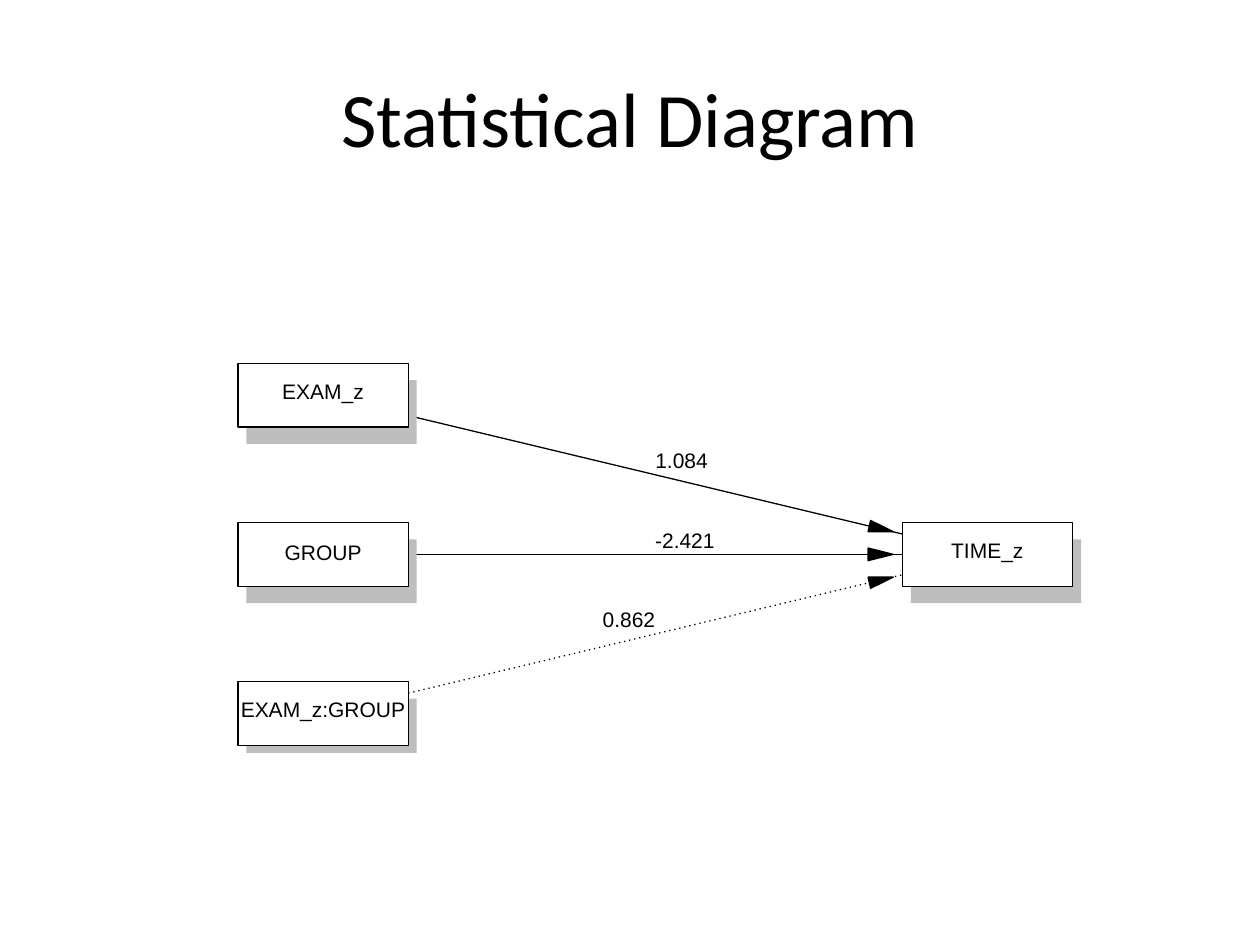
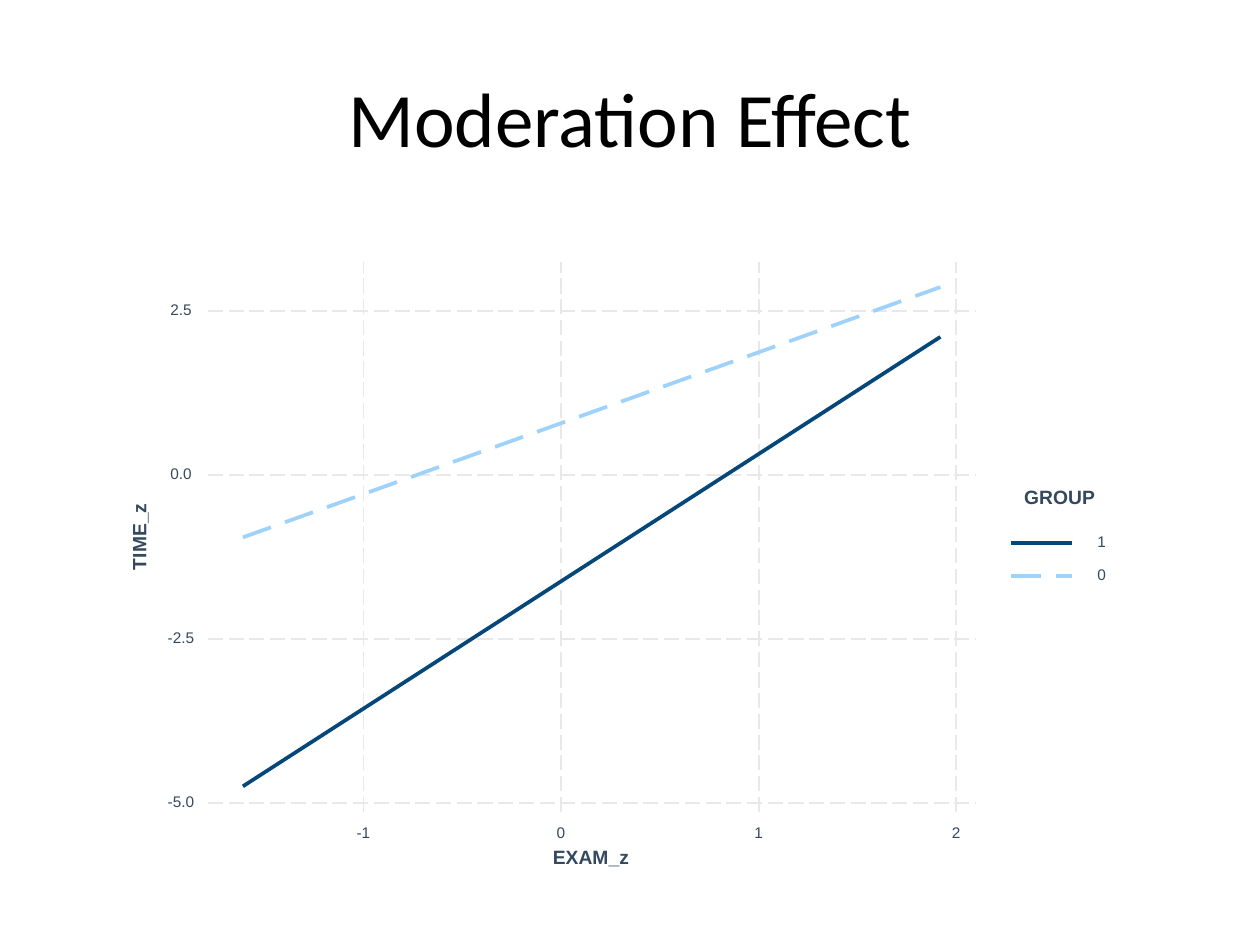
from lxml import etree
from pptx import Presentation
from pptx.dml.color import RGBColor
from pptx.enum.shapes import MSO_CONNECTOR, MSO_SHAPE
from pptx.enum.text import MSO_ANCHOR, PP_ALIGN
from pptx.oxml.ns import qn
from pptx.util import Pt

STRAIGHT = MSO_CONNECTOR.STRAIGHT
RECTANGLE = MSO_SHAPE.RECTANGLE
MIDDLE = MSO_ANCHOR.MIDDLE
CENTER = PP_ALIGN.CENTER

BLACK, WHITE, SHADOW = "000000", "FFFFFF", "BEBEBE"
SLATE, GRID, NAVY, SKY = "34495E", "E8E8E8", "06477A", "9ED2FA"
TITLE_FONT, BODY_FONT = "Calibri", "Arial"

# Dashes: a preset name, or dash and gap in line widths
DOTTED, LONG_DASH, WIDE_DASH = "dot", "lgDash", (8, 4)

PANEL = (72, 144, 576, 360)

# Path diagram: centres of the nodes, on an even vertical step
NODE_WIDTH, NODE_HEIGHT = 97.3, 36.5
CAUSE_X, EFFECT_X = 184.6, 564.2
MIDDLE_Y, ROW_STEP = 316.8, 91
SHADOW_RIGHT, SHADOW_DOWN = 4.9, 9.7

# Cause, shadow height, label, label centre, arrowhead corners, dash
PATHS = [
    ("EXAM_z", 36.5, "1.084", (389.5, 264.2),
     [(496.1, 303.8), (510.5, 303.8), (497.5, 297.4)], None),
    ("GROUP", 36.5, "-2.421", (391.4, 309.6),
     [(496.1, 320.4), (510.5, 316.8), (496.1, 313.2)], None),
    ("EXAM_z:GROUP", 31, "0.862", (359.4, 355.2),
     [(497.5, 336.2), (510.5, 329.8), (496.1, 329.8)], DOTTED),
]

# Line plot: edges, origin and points per unit of each axis
PLOT_LEFT, PLOT_TOP, PLOT_RIGHT, PLOT_BOTTOM = 118.8, 149.8, 557.3, 464
ORIGIN_X, ORIGIN_Y = 320.6, 271.5
UNIT_X, UNIT_Y = 112.9, 37.44
X_TICKS = [-1, 0, 1, 2]
Y_TICKS = [-5.0, -2.5, 0.0, 2.5]
LEGEND_TOP, LEGEND_STEP = 310.2, 18.8

# Group, colour, dash, end points in data units
GROUPS = [
    ("1", NAVY, None, (-1.61, -4.75), (1.92, 2.11)),
    ("0", SKY, WIDE_DASH, (-1.61, -0.95), (1.92, 2.87)),
]


def color(hex_string):
    """Turn a hex string into a colour."""
    return RGBColor.from_string(hex_string)


def plot_x(value):
    """Return the slide position of a value on the horizontal axis."""
    return ORIGIN_X + value * UNIT_X


def plot_y(value):
    """Return the slide position of a value on the vertical axis."""
    return ORIGIN_Y - value * UNIT_Y


def style_font(font, size, hex_string, name=BODY_FONT, bold=False):
    """Set the face, size, colour and weight of a font."""
    font.name, font.size, font.bold = name, Pt(size), bold
    font.color.rgb = color(hex_string)


def style_shape(shape, fill, outline=None, width=0.75):
    """Set the fill and outline of a shape and drop its shadow."""
    shape.shadow.inherit = False
    shape.fill.solid()
    shape.fill.fore_color.rgb = color(fill)
    if outline is None:
        shape.line.fill.background()
    else:
        shape.line.color.rgb = color(outline)
        shape.line.width = Pt(width)


def add_titled_slide(deck, title):
    """Add a title-only slide with the shared title style and panel."""
    page = deck.slides.add_slide(deck.slide_layouts[5])
    box = page.shapes.title
    box.left, box.top, box.width, box.height = Pt(36), Pt(21.6), Pt(648), Pt(90)
    box.text_frame.text = title
    box.text_frame.vertical_anchor = MIDDLE
    para = box.text_frame.paragraphs[0]
    para.alignment = CENTER
    style_font(para.font, 44, BLACK, TITLE_FONT)
    style_shape(add_rectangle(page, *PANEL), WHITE, WHITE)
    return page


def add_rectangle(page, left, top, width, height):
    """Add a rectangle that is still to be styled."""
    return page.shapes.add_shape(RECTANGLE, Pt(left), Pt(top), Pt(width), Pt(height))


def write_line(frame, text, size, hex_string, bold=False):
    """Write one centred line, without insets, into a text frame."""
    frame.margin_left = frame.margin_right = Pt(0)
    frame.margin_top = frame.margin_bottom = Pt(0)
    frame.word_wrap = False
    frame.vertical_anchor = MIDDLE
    para = frame.paragraphs[0]
    para.text = text
    para.alignment = CENTER
    para.line_spacing = Pt(size)
    style_font(para.font, size, hex_string, bold=bold)


def add_label(page, text, center_x, center_y, size, hex_string, bold=False, rotation=0):
    """Add a line of text around a centre."""
    width, height = 0.8 * size * len(text), 0.8 * size
    box = page.shapes.add_textbox(
        Pt(center_x - width / 2), Pt(center_y - height / 2), Pt(width), Pt(height))
    box.rotation = rotation
    write_line(box.text_frame, text, size, hex_string, bold)


def add_line(page, start, end, hex_string, width, dash=None):
    """Add a straight line with an optional dash."""
    line = page.shapes.add_connector(
        STRAIGHT, Pt(start[0]), Pt(start[1]), Pt(end[0]), Pt(end[1]))
    line.line.color.rgb = color(hex_string)
    line.line.width = Pt(width)
    properties = line._element.spPr
    outline = properties.find(qn("a:ln"))
    if isinstance(dash, tuple):
        stop = etree.SubElement(etree.SubElement(outline, qn("a:custDash")), qn("a:ds"))
        for key, length in zip(("d", "sp"), dash):
            stop.set(key, str(length * 100000))
    elif dash:
        etree.SubElement(outline, qn("a:prstDash")).set("val", dash)
    etree.SubElement(properties, qn("a:effectLst"))


def add_arrowhead(page, corners):
    """Add a solid black triangle."""
    points = [(Pt(x), Pt(y)) for x, y in corners]
    builder = page.shapes.build_freeform(*points[0])
    builder.add_line_segments(points[1:], close=True)
    style_shape(builder.convert_to_shape(), BLACK, BLACK)


def add_node(page, text, center_x, center_y, shadow_height=NODE_HEIGHT):
    """Add a named, outlined node over its grey shadow."""
    left, top = center_x - NODE_WIDTH / 2, center_y - NODE_HEIGHT / 2
    shadow = add_rectangle(
        page, left + SHADOW_RIGHT, top + SHADOW_DOWN, NODE_WIDTH, shadow_height)
    style_shape(shadow, SHADOW)
    box = add_rectangle(page, left, top, NODE_WIDTH, NODE_HEIGHT)
    style_shape(box, WHITE, BLACK)
    write_line(box.text_frame, text, 12, BLACK)
    if "_" in text:  # names with a descender sit slightly higher
        box.text_frame.margin_bottom = Pt(2.2)


def add_grid(page):
    """Add the dashed grid lines and the tick labels."""
    for tick in Y_TICKS:
        y = plot_y(tick)
        add_line(page, (PLOT_LEFT, y), (PLOT_RIGHT, y), GRID, 1.07, LONG_DASH)
        add_label(page, f"{tick:.1f}", 103.4, y, 8.8, SLATE)
    for tick in X_TICKS:
        x = plot_x(tick)
        add_line(page, (x, PLOT_BOTTOM), (x, PLOT_TOP), GRID, 1.07, LONG_DASH)
        add_label(page, str(tick), x, 476.3, 8.8, SLATE)


def build_diagram(deck):
    """Build the slide with the path diagram."""
    page = add_titled_slide(deck, "Statistical Diagram")
    rows = [MIDDLE_Y + (index - 1) * ROW_STEP for index in range(len(PATHS))]
    for row, (_, _, label, center, corners, dash) in zip(rows, PATHS):
        add_line(page, (CAUSE_X, row), (EFFECT_X, MIDDLE_Y), BLACK, 0.75, dash)
        add_arrowhead(page, corners)
        add_label(page, label, *center, 12, BLACK)
    for row, (cause, shadow_height, *_) in zip(rows, PATHS):
        add_node(page, cause, CAUSE_X, row, shadow_height)
    add_node(page, "TIME_z", EFFECT_X, MIDDLE_Y)


def build_effect(deck):
    """Build the slide with the line plot and its legend."""
    page = add_titled_slide(deck, "Moderation Effect")
    add_grid(page)
    for index, (name, hex_string, dash, start, end) in enumerate(GROUPS):
        first, last = [(plot_x(x), plot_y(y)) for x, y in (start, end)]
        add_line(page, first, last, hex_string, 2.13, dash)
        y = LEGEND_TOP + index * LEGEND_STEP
        add_line(page, (578, y), (612.6, y), hex_string, 2.13, dash)
        add_label(page, name, 629.6, y, 8.8, SLATE)
    add_label(page, "EXAM_z", 337.7, 491, 11, SLATE, bold=True)
    add_label(page, "TIME_z", 80.3, 306.7, 11, SLATE, bold=True, rotation=270)
    add_label(page, "GROUP", 605.5, 284.8, 11, SLATE, bold=True)


def main():
    """Build and save the deck."""
    deck = Presentation()
    deck.slide_width, deck.slide_height = Pt(720), Pt(540)
    build_diagram(deck)
    build_effect(deck)
    deck.save("out.pptx")


main()
